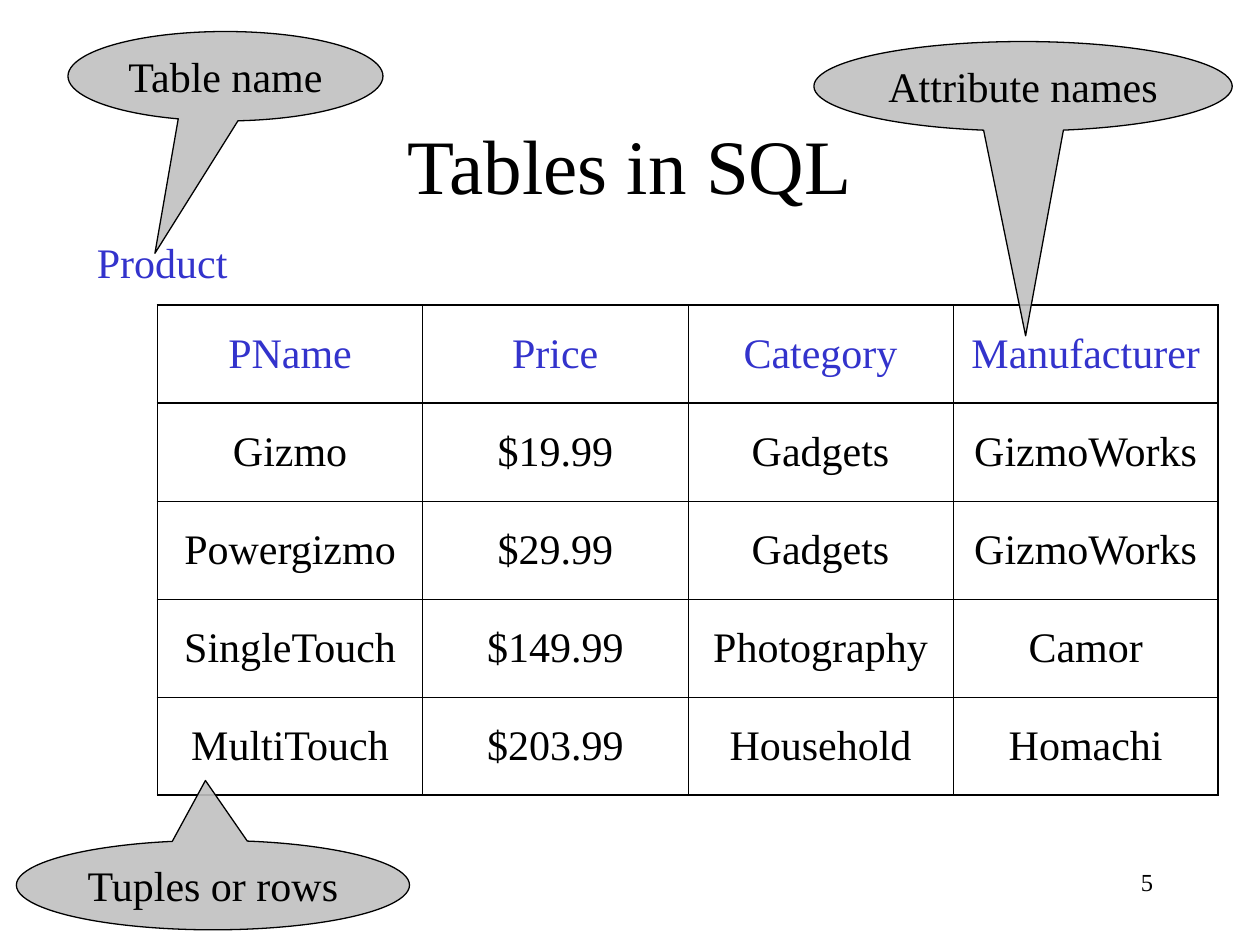
from dataclasses import dataclass

from lxml import etree
from pptx import Presentation
from pptx.dml.color import RGBColor
from pptx.enum import shapes, text
from pptx.oxml.ns import qn
from pptx.util import Inches, Pt


@dataclass(frozen=True)
class Theme:
    font: str = "Times New Roman"
    ink: RGBColor = RGBColor(0, 0, 0)
    accent: RGBColor = RGBColor(0x33, 0x33, 0xCC)
    callout: RGBColor = RGBColor(0xC0, 0xC0, 0xC0)
    callout_alpha: int = 90
    title: Pt = Pt(44)
    body: Pt = Pt(24)
    number: Pt = Pt(14)
    outer: Pt = Pt(1.08)
    inner: Pt = Pt(0.45)
    outline: Pt = Pt(0.75)


THEME = Theme()
CENTER = text.PP_ALIGN.CENTER
MIDDLE = text.MSO_ANCHOR.MIDDLE

PRODUCTS = [
    ("PName", "Price", "Category", "Manufacturer"),
    ("Gizmo", "$19.99", "Gadgets", "GizmoWorks"),
    ("Powergizmo", "$29.99", "Gadgets", "GizmoWorks"),
    ("SingleTouch", "$149.99", "Photography", "Camor"),
    ("MultiTouch", "$203.99", "Household", "Homachi"),
]

# Label, box, and tail tip as a share of the box measured from its centre
CALLOUTS = [
    ("Attribute names", (6.46, 0.33, 3.32, 0.71), (0.006, 2.79)),
    ("Table name", (0.54, 0.25, 2.5, 0.71), (-0.224, 1.98)),
    ("Tuples or rows", (0.13, 6.67, 3.12, 0.71), (-0.019, -1.17)),
]


def inches(box):
    return [Inches(v) for v in box]


def write(tf, words, size, color=THEME.ink, align=text.PP_ALIGN.LEFT):
    tf.text = words
    p = tf.paragraphs[0]
    p.alignment = align
    font = p.runs[0].font
    font.name, font.size = THEME.font, size
    font.color.rgb = color


def add_label(s, box, words, size, wrap=True, anchor=text.MSO_ANCHOR.TOP, **style):
    tf = s.shapes.add_textbox(*inches(box)).text_frame
    tf.word_wrap = wrap
    if not wrap:
        tf.auto_size = text.MSO_AUTO_SIZE.SHAPE_TO_FIT_TEXT
    tf.vertical_anchor = anchor
    write(tf, words, size, **style)


def set_borders(cell, widths):
    """Draw the cell's left, right, top and bottom edges, in that order."""
    tc_pr = cell._tc.get_or_add_tcPr()
    for i, (side, width) in enumerate(zip("LRTB", widths)):
        ln = etree.Element(qn(f"a:ln{side}"), w=str(int(width)))
        fill = etree.SubElement(ln, qn("a:solidFill"))
        etree.SubElement(fill, qn("a:srgbClr"), val=str(THEME.ink))
        tc_pr.insert(i, ln)


def add_product_table(s, box, rows):
    n_rows, n_cols = len(rows), len(rows[0])
    x, y, w, h = inches(box)
    table = s.shapes.add_table(n_rows, n_cols, x, y, w, h).table
    table.first_row = table.horz_banding = False
    for column in table.columns:
        column.width = w // n_cols
    for row in table.rows:
        row.height = h // n_rows

    for r, values in enumerate(rows):
        for c, value in enumerate(values):
            cell = table.cell(r, c)
            cell.fill.background()
            cell.vertical_anchor = MIDDLE
            color = THEME.accent if r == 0 else THEME.ink
            write(cell.text_frame, value, THEME.body, color, CENTER)
            # The frame and the rule below the header are heavier
            heavy = (c == 0, c == n_cols - 1, r <= 1, r in (0, n_rows - 1))
            set_borders(cell, [THEME.outer if edge else THEME.inner for edge in heavy])


def add_callout(s, box, words, tip):
    sp = s.shapes.add_shape(shapes.MSO_SHAPE.OVAL_CALLOUT, *inches(box))
    sp.shadow.inherit = False
    sp.adjustments[0], sp.adjustments[1] = tip
    sp.fill.solid()
    sp.fill.fore_color.rgb = THEME.callout
    color = sp.fill._xPr.find(qn("a:solidFill"))[0]
    etree.SubElement(color, qn("a:alpha"), val=str(THEME.callout_alpha * 1000))
    sp.line.color.rgb = THEME.ink
    sp.line.width = THEME.outline
    tf = sp.text_frame
    tf.word_wrap = False
    tf.vertical_anchor = text.MSO_ANCHOR.TOP
    write(tf, words, THEME.body, align=CENTER)


def build_slide(prs):
    s = prs.slides.add_slide(prs.slide_layouts[6])
    add_label(s, (7.17, 6.83, 2.08, 0.5), "5", THEME.number,
              align=text.PP_ALIGN.RIGHT)
    add_label(s, (0.75, 0.67, 8.5, 1.25), "Tables in SQL", THEME.title,
              anchor=MIDDLE, align=CENTER)
    add_product_table(s, (1.25, 2.42, 8.42, 3.89), PRODUCTS)
    add_label(s, (0.67, 1.83, 1.25, 0.5), "Product", THEME.body,
              wrap=False, color=THEME.accent)
    for words, box, tip in CALLOUTS:
        add_callout(s, box, words, tip)


def main():
    prs = Presentation()
    prs.slide_width, prs.slide_height = Inches(10), Inches(7.5)
    build_slide(prs)
    prs.save("out.pptx")


if __name__ == "__main__":
    main()
